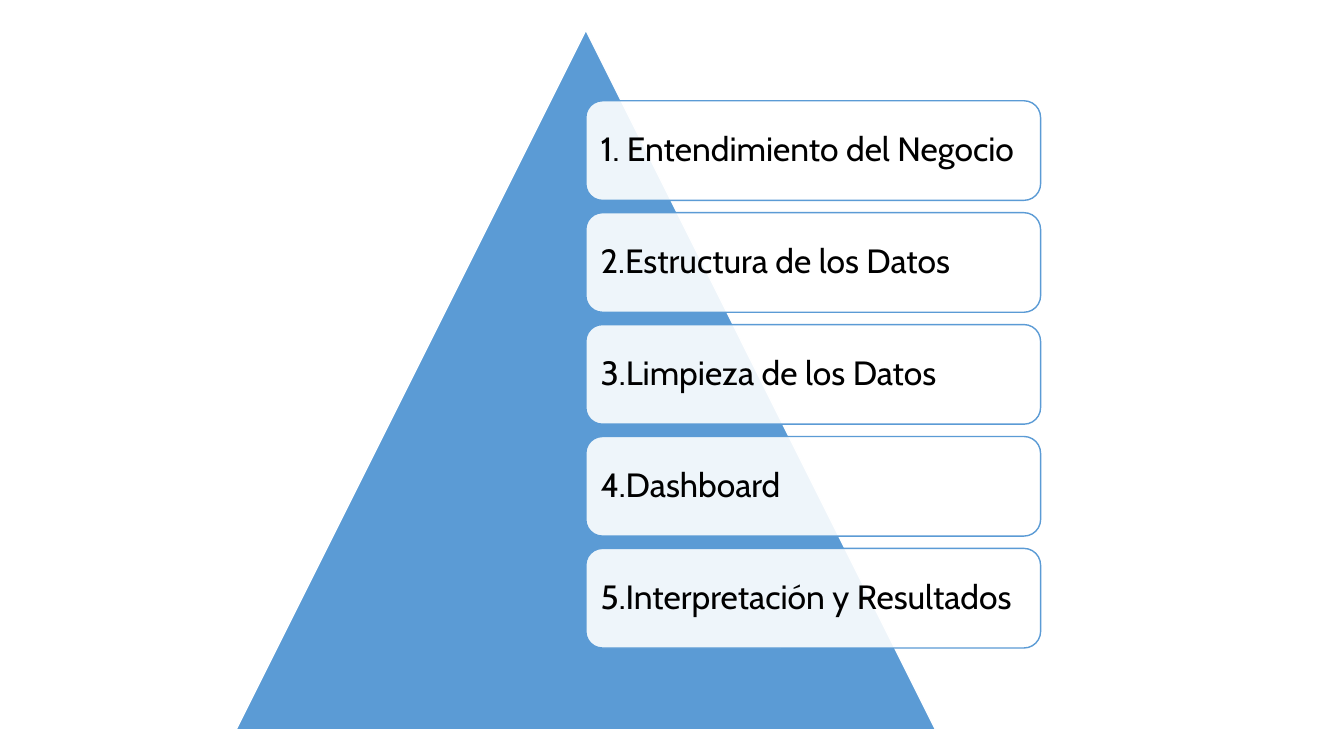
from dataclasses import dataclass

from lxml import etree
from pptx import Presentation
from pptx.dml.color import RGBColor
from pptx.enum import shapes, text
from pptx.oxml import ns
from pptx.util import Cm, Pt


@dataclass(frozen=True)
class Theme:
    blue: RGBColor = RGBColor(0x5B, 0x9B, 0xD5)
    white: RGBColor = RGBColor(0xFF, 0xFF, 0xFF)
    black: RGBColor = RGBColor(0, 0, 0)
    font: str = "Cabin"
    step_size: int = 24
    line_width: int = 1
    card_opacity: int = 90  # percent


class SlideBuilder:
    def __init__(self, slide, theme):
        self.slide = slide
        self.theme = theme

    def shape(self, kind, left, top, width, height, fill, line):
        s = self.slide.shapes.add_shape(
            kind, Cm(left), Cm(top), Cm(width), Cm(height))
        s.shadow.inherit = False
        s.fill.solid()
        s.fill.fore_color.rgb = fill
        s.line.color.rgb = line
        s.line.width = Pt(self.theme.line_width)
        return s

    def pyramid(self, left, top, size):
        t = self.theme
        return self.shape(shapes.MSO_SHAPE.ISOSCELES_TRIANGLE,
                          left, top, size, size, t.blue, t.white)

    def card(self, label, left, top, width, height):
        t = self.theme
        s = self.shape(shapes.MSO_SHAPE.ROUNDED_RECTANGLE,
                       left, top, width, height, t.white, t.blue)
        # Let the pyramid show through the card
        color = s.fill._xPr.find(ns.qn("a:solidFill"))[0]
        etree.SubElement(color, ns.qn("a:alpha"),
                         val=str(t.card_opacity * 1000))

        tf = s.text_frame
        tf.word_wrap = True
        tf.vertical_anchor = text.MSO_ANCHOR.MIDDLE
        tf.margin_left = tf.margin_right = Cm(0.25)
        tf.margin_top = tf.margin_bottom = Cm(0.25)
        p = tf.paragraphs[0]
        p.text = label
        p.alignment = text.PP_ALIGN.LEFT
        p.line_spacing = 0.9
        p.font.name = t.font
        p.font.size = Pt(t.step_size)
        p.font.color.rgb = t.black
        return s


STEPS = [
    "1. Entendimiento del Negocio",
    "2.Estructura de los Datos",
    "3.Limpieza de los Datos",
    "4.Dashboard",
    "5.Interpretación y Resultados",
]

prs = Presentation()
prs.slide_width, prs.slide_height = Cm(33.87), Cm(19.05)
builder = SlideBuilder(prs.slides.add_slide(prs.slide_layouts[6]), Theme())

# Pyramid
pyramid_left, pyramid_top, pyramid_size = 5.95, 0.76, 17.63
builder.pyramid(pyramid_left, pyramid_top, pyramid_size)

# Step cards, starting on the pyramid's axis
card_left = pyramid_left + pyramid_size / 2
card_top, card_width, card_height, gap = 2.54, 11.46, 2.51, 0.31
for i, step in enumerate(STEPS):
    builder.card(step, card_left, card_top + i * (card_height + gap),
                 card_width, card_height)

prs.save("out.pptx")
